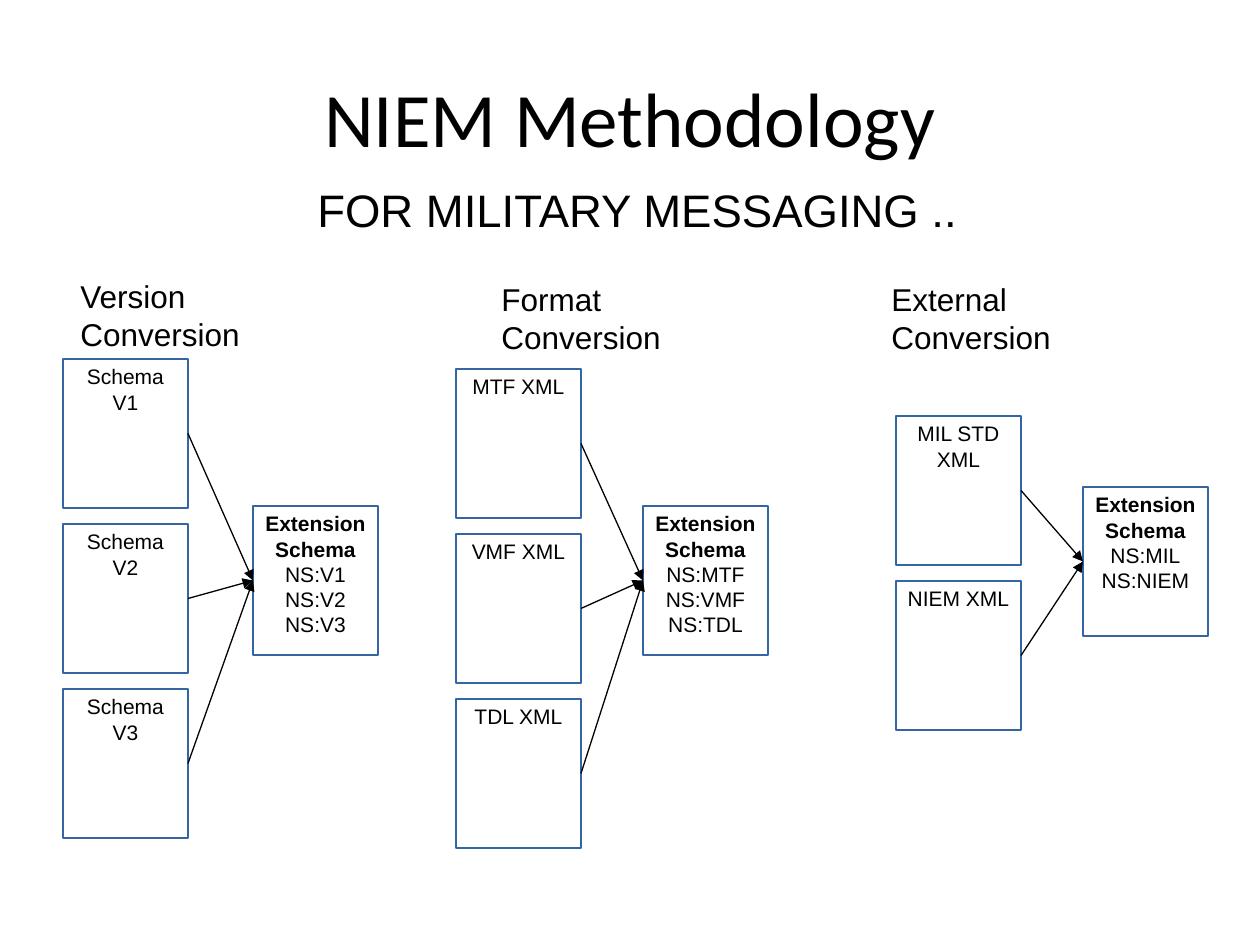
from lxml import etree
from pptx import Presentation
from pptx.dml.color import RGBColor
from pptx.enum.shapes import MSO_CONNECTOR, MSO_SHAPE
from pptx.enum.text import MSO_ANCHOR, PP_ALIGN
from pptx.oxml.ns import qn
from pptx.util import Pt

RECT = MSO_SHAPE.RECTANGLE
LINE = MSO_CONNECTOR.STRAIGHT
CENTER = PP_ALIGN.CENTER
LEFT = PP_ALIGN.LEFT
TOP = MSO_ANCHOR.TOP
MIDDLE = MSO_ANCHOR.MIDDLE
BLACK = RGBColor(0, 0, 0)
BLUE = RGBColor(0x34, 0x65, 0xA4)

SCALE = 914400 / 126
BOX_W, BOX_H, STEP = 125, 149, 165
LEFT_SITE, RIGHT_SITE = 1, 3

GROUPS = [
    ("Version Conversion", (68, 271, 290), (63, 359), (253, 506),
     ["Schema V1", "Schema V2", "Schema V3"], ["NS:V1", "NS:V2", "NS:V3"]),
    ("Format Conversion", (489, 274, 285), (456, 369), (643, 506),
     ["MTF XML", "VMF XML", "TDL XML"], ["NS:MTF", "NS:VMF", "NS:TDL"]),
    ("External Conversion", (879, 274, 300), (896, 416), (1083, 487),
     ["MIL STD XML", "NIEM XML"], ["NS:MIL", "NS:NIEM"]),
]


def px(num):
    """Turn pixels into EMU."""
    return round(num * SCALE)


def style(para, size, font="Arial", align=LEFT, bold=False):
    """Set the font and alignment of a paragraph."""
    para.alignment = align
    para.font.size = Pt(size)
    para.font.name = font
    para.font.bold = bold
    para.font.color.rgb = BLACK


def add_title(slide, text):
    """Fill and place the title placeholder."""
    title = slide.shapes.title
    title.left, title.top, title.width, title.height = map(px, (63, 38, 1134, 157))
    title.text_frame.text = text
    title.text_frame.vertical_anchor = MIDDLE
    style(title.text_frame.paragraphs[0], 44, "Calibri", CENTER)


def add_label(slide, text, left, top, width, height, size):
    """Add a plain line of text that wraps."""
    frame = slide.shapes.add_textbox(*map(px, (left, top, width, height))).text_frame
    frame.word_wrap = True
    frame.text = text
    style(frame.paragraphs[0], size)


def add_box(slide, spot, lines, head=False):
    """Add an outlined box, with its first line bold if it is a head."""
    box = slide.shapes.add_shape(RECT, *map(px, (*spot, BOX_W, BOX_H)))
    box.shadow.inherit = False
    box.fill.background()
    box.line.color.rgb = BLUE
    box.line.width = Pt(0.75)
    frame = box.text_frame
    frame.word_wrap = True
    frame.vertical_anchor = TOP
    frame.margin_left = frame.margin_right = px(11)
    frame.margin_top = frame.margin_bottom = px(5)
    frame.text = "\n".join(lines)
    for row, para in enumerate(frame.paragraphs):
        style(para, 12, align=CENTER, bold=head and row == 0)
    return box


def add_arrow(slide, start, end):
    """Join two boxes with an arrow from right side to left side."""
    arrow = slide.shapes.add_connector(LINE, 0, 0, 0, 0)
    arrow.begin_connect(start, RIGHT_SITE)
    arrow.end_connect(end, LEFT_SITE)
    arrow.line.color.rgb = BLACK
    arrow.line.width = Pt(0.75)
    etree.SubElement(arrow.line._get_or_add_ln(), qn("a:tailEnd"), type="triangle")
    etree.SubElement(arrow._element.spPr, qn("a:effectLst"))


def add_group(slide, name, label, start, goal, sources, spaces):
    """Add a labelled column of sources that point to one schema."""
    add_label(slide, name, *label, 48, 18)
    target = add_box(slide, goal, ["Extension Schema", *spaces], head=True)
    left, top = start
    for row, text in enumerate(sources):
        source = add_box(slide, (left, top + row * STEP), [text])
        add_arrow(slide, source, target)


def main():
    """Build and save the slide."""
    deck = Presentation()
    deck.slide_width, deck.slide_height = px(1260), px(945)
    slide = deck.slides.add_slide(deck.slide_layouts[5])
    add_title(slide, "NIEM Methodology")
    add_label(slide, "FOR MILITARY MESSAGING ..", 305, 176, 741, 63, 26)
    for group in GROUPS:
        add_group(slide, *group)
    deck.save("out.pptx")


if __name__ == "__main__":
    main()
